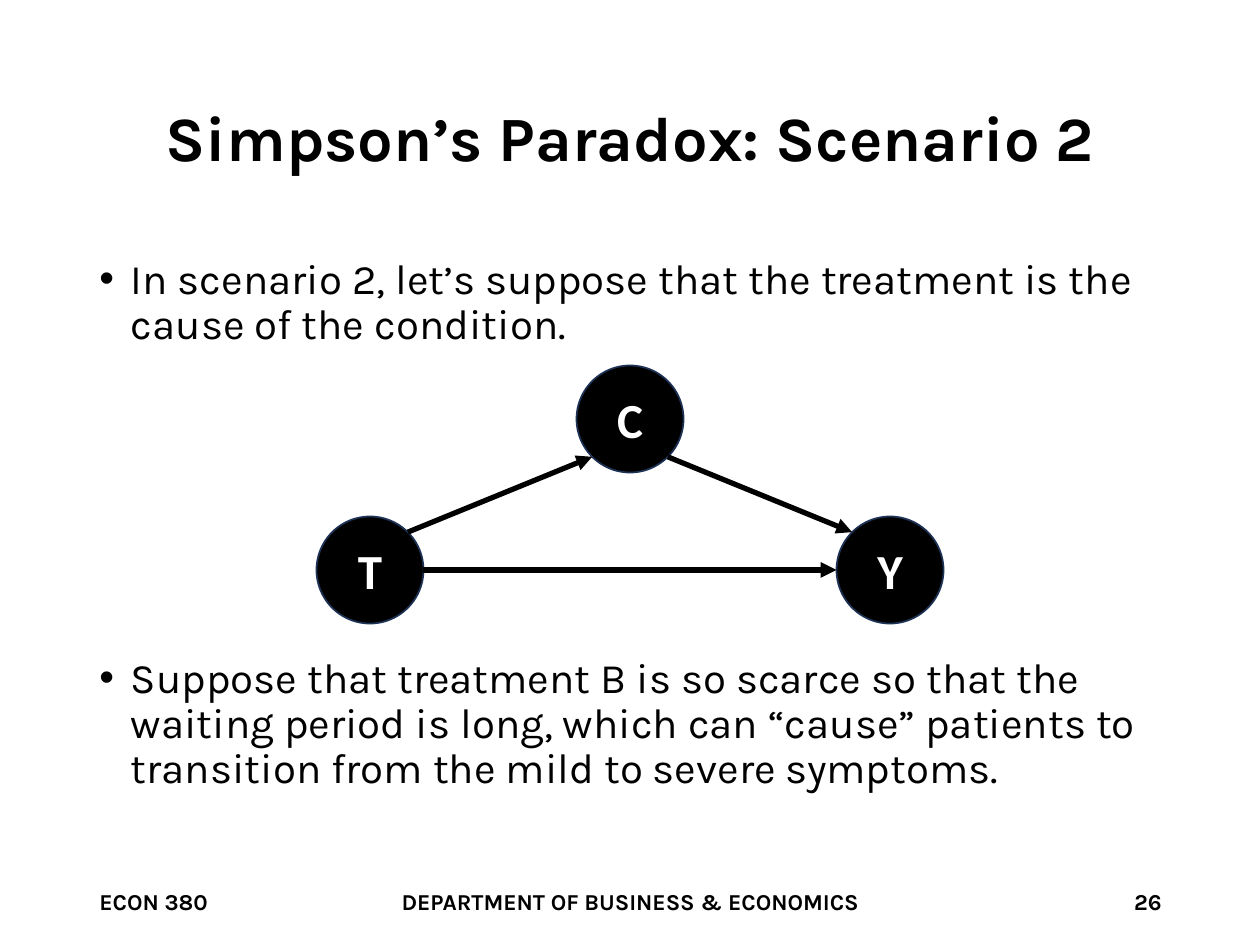
"""Build the slide on the second scenario of Simpson's paradox."""
import math

import lxml.etree
import pptx
import pptx.dml.color
import pptx.enum.shapes
import pptx.enum.text
import pptx.oxml.ns
import pptx.util

EMU_PER_PX = 914400 / 126
COLORS = {"ink": "000000", "paper": "FFFFFF", "outline": "1E3256"}
ALIGN = pptx.enum.text.PP_ALIGN
ANCHOR = pptx.enum.text.MSO_ANCHOR
NODE_SIZE = 107
NODES = {"T": (370, 570), "Y": (890, 570), "C": (630, 419)}
EDGES = [("T", 45, "C", 225), ("C", -45, "Y", 135), ("T", 0, "Y", 180)]
FOOTERS = [
    ("ECON 380", 87, 284, ALIGN.LEFT),
    ("DEPARTMENT OF BUSINESS & ECONOMICS", 233, 794, ALIGN.CENTER),
    ("26", 890, 284, ALIGN.RIGHT),
]
BULLETS = [
    ("In scenario 2, let’s suppose that the treatment is the cause of the condition.", 0),
    ("Suppose that treatment B is so scarce so that the waiting period is long, "
     "which can “cause” patients to transition from the mild to severe symptoms.", 176),
]


def px(*lengths):
    """Turn pixel lengths into a list of EMU."""
    return [pptx.util.Emu(round(length * EMU_PER_PX)) for length in lengths]


def rgb(name):
    """Look up a named colour."""
    return pptx.dml.color.RGBColor.from_string(COLORS[name])


def add_xml(parent, tag, **attributes):
    """Append a drawing element to its parent."""
    return lxml.etree.SubElement(parent, pptx.oxml.ns.qn(tag), attributes)


def write(para, text, size, font="Karla", color="ink", bold=False,
          align=ALIGN.LEFT, spacing=None, before=0):
    """Fill a paragraph with formatted text."""
    para.alignment = align
    para.line_spacing = spacing
    para.space_before = pptx.util.Pt(before)
    span = para.add_run()
    span.text = text
    span.font.name, span.font.size, span.font.bold = font, pptx.util.Pt(size), bold
    span.font.color.rgb = rgb(color)


def add_box(page, left, top, width, height, anchor):
    """Add a wrapping text box and return its text frame."""
    frame = page.shapes.add_textbox(*px(left, top, width, height)).text_frame
    frame.word_wrap = True
    frame.vertical_anchor = anchor
    return frame


def add_title(page, text):
    """Place and fill the title placeholder."""
    title = page.shapes.title
    title.left, title.top, title.width, title.height = px(87, 50, 1086, 183)
    title.text_frame.vertical_anchor = ANCHOR.MIDDLE
    write(title.text_frame.paragraphs[0], text, 36, bold=True,
          align=ALIGN.CENTER, spacing=0.9)


def add_bullets(page):
    """Add the bulleted text with a gap for the diagram."""
    frame = add_box(page, 87, 252, 1086, 600, ANCHOR.TOP)
    for index, (text, before) in enumerate(BULLETS):
        para = frame.add_paragraph() if index else frame.paragraphs[0]
        write(para, text, 24, spacing=0.9, before=before)
        indent = px(31.5)[0]
        properties = para._p.get_or_add_pPr()
        properties.set("marL", str(indent))
        properties.set("indent", str(-indent))
        add_xml(properties, "a:buFont", typeface="Arial")
        add_xml(properties, "a:buChar", char="•")


def add_node(group, label):
    """Add a labelled circle around its centre."""
    x, y = NODES[label]
    node = group.shapes.add_shape(
        pptx.enum.shapes.MSO_SHAPE.OVAL,
        *px(x - NODE_SIZE / 2, y - NODE_SIZE / 2, NODE_SIZE, NODE_SIZE))
    node.shadow.inherit = False
    node.fill.solid()
    node.fill.fore_color.rgb = rgb("ink")
    node.line.color.rgb = rgb("outline")
    node.line.width = pptx.util.Pt(1)
    node.text_frame.vertical_anchor = ANCHOR.MIDDLE
    write(node.text_frame.paragraphs[0], label, 28, font="Calibri",
          color="paper", bold=True, align=ALIGN.CENTER)


def rim(label, degrees):
    """Return the point on a circle's rim at an angle."""
    x, y = NODES[label]
    angle = math.radians(degrees)
    return px(x + NODE_SIZE / 2 * math.cos(angle), y - NODE_SIZE / 2 * math.sin(angle))


def add_arrow(group, source, source_angle, target, target_angle):
    """Draw an arrow from one circle's rim to another's."""
    arrow = group.shapes.add_connector(
        pptx.enum.shapes.MSO_CONNECTOR.STRAIGHT,
        *rim(source, source_angle), *rim(target, target_angle))
    arrow.line.color.rgb = rgb("ink")
    arrow.line.width = pptx.util.Pt(3)
    add_xml(arrow.line._get_or_add_ln(), "a:tailEnd", type="triangle")
    add_xml(arrow._element.spPr, "a:effectLst")


def main():
    """Build and save the deck."""
    deck = pptx.Presentation()
    deck.slide_width, deck.slide_height = px(1260, 945)
    page = deck.slides.add_slide(deck.slide_layouts.get_by_name("Title Only"))
    add_title(page, "Simpson’s Paradox: Scenario 2")
    for text, left, width, align in FOOTERS:
        frame = add_box(page, left, 876, width, 50, ANCHOR.MIDDLE)
        write(frame.paragraphs[0], text, 13, bold=True, align=align)
    add_bullets(page)
    diagram = page.shapes.add_group_shape()
    for label in NODES:
        add_node(diagram, label)
    for edge in EDGES:
        add_arrow(diagram, *edge)
    deck.save("out.pptx")


if __name__ == "__main__":
    main()
